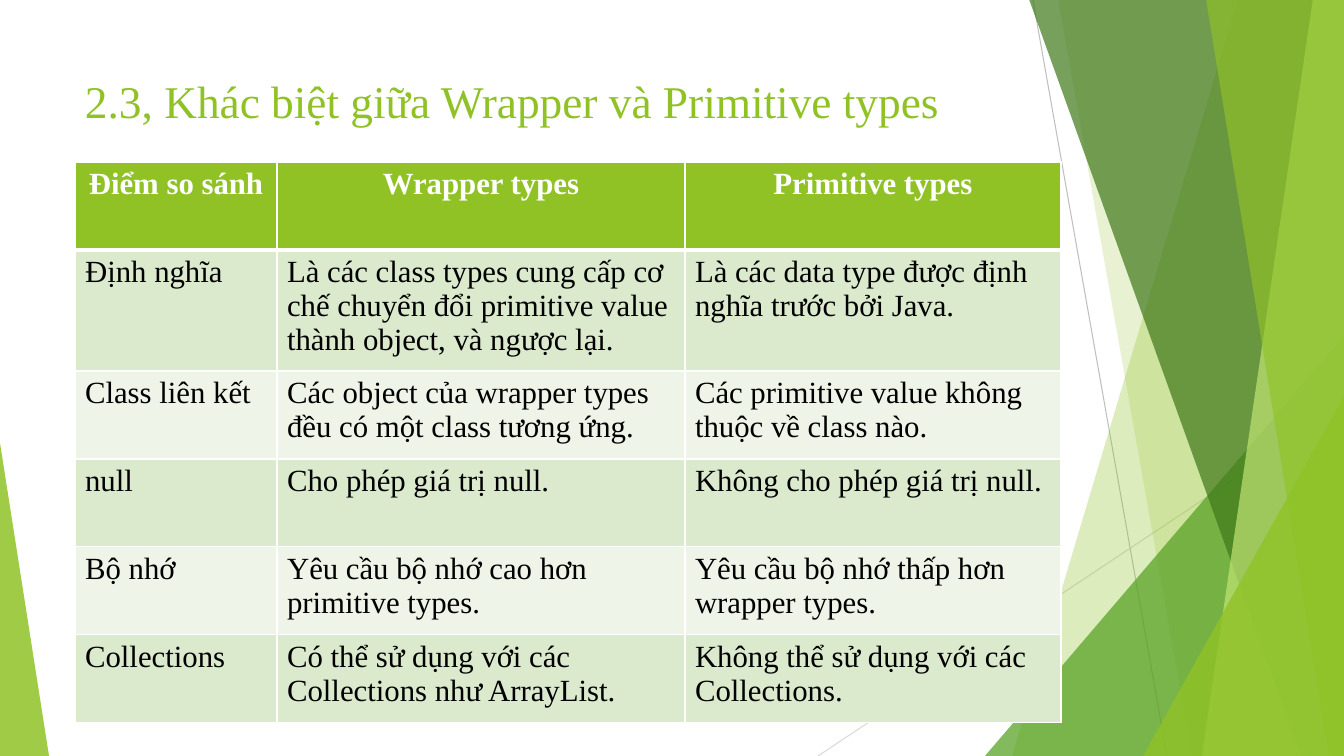
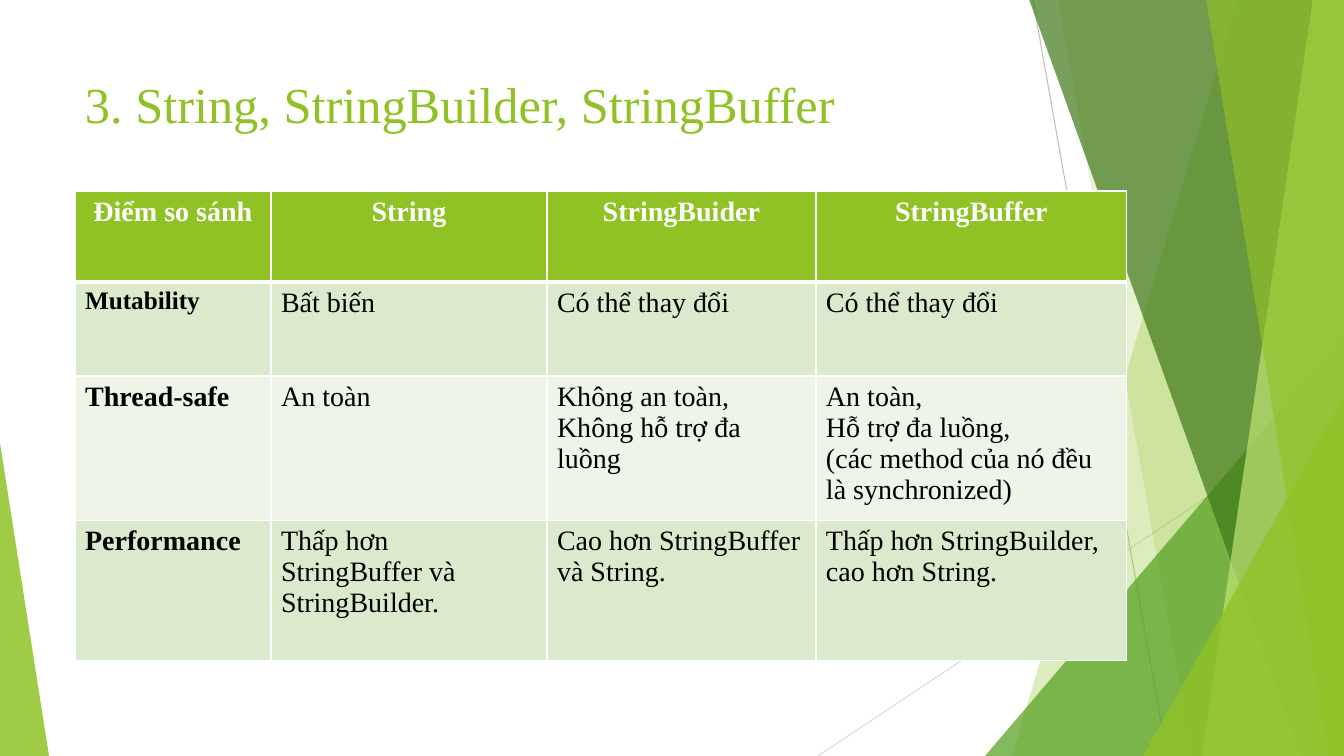
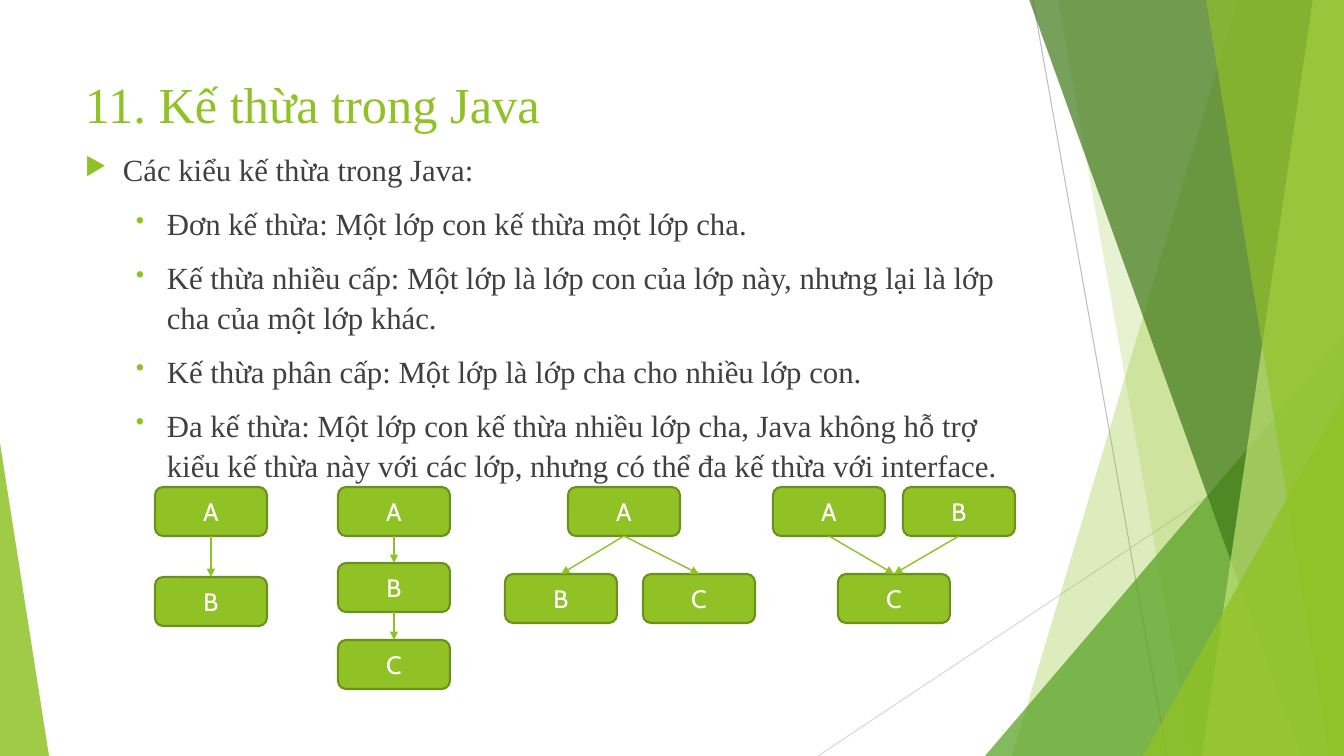
from pptx import Presentation
from pptx.dml.color import RGBColor
from pptx.enum.shapes import MSO_CONNECTOR, MSO_SHAPE
from pptx.enum.text import MSO_ANCHOR, PP_ALIGN
from pptx.oxml.ns import qn
from pptx.util import Pt
from lxml.etree import SubElement, Element

PX = 914400 / 100.8
WIDTH, HEIGHT = 1344, 756
SERIF, SANS = "Times New Roman", "Cabin"

LIME = RGBColor(0x90, 0xC2, 0x26)
GREEN = RGBColor(0x54, 0xA0, 0x21)
FOREST = RGBColor(0x3F, 0x78, 0x19)
PALE_LIME = RGBColor(0xC0, 0xE4, 0x74)
OLIVE = RGBColor(0x6B, 0x90, 0x1C)
BAND_DARK = RGBColor(0xDB, 0xE9, 0xCD)
BAND_LIGHT = RGBColor(0xEE, 0xF4, 0xE8)
GRAY = RGBColor(0xBF, 0xBF, 0xBF)
LIGHT_GRAY = RGBColor(0xD9, 0xD9, 0xD9)
DARK_GRAY = RGBColor(0x40, 0x40, 0x40)
WHITE = RGBColor(0xFF, 0xFF, 0xFF)
BLACK = RGBColor(0, 0, 0)

HAIRLINES = [((1033, 0), (1167, 756), GRAY), ((1344, 406), (818, 756), LIGHT_GRAY)]
FACETS = [
    ("band", (1238, 1012), LIME, 30),
    ("band", (1058, 1192), LIME, 20),
    ("triangle", (985, 336, 359, 420, 1), GREEN, 72),
    ("band", (1029, 1301), FOREST, 70),
    ("band", (1313, 1202), PALE_LIME, 70),
    ("band", (1206, 1329), LIME, 65),
    ("triangle", (1143, 396, 201, 360, 1), LIME, 80),
    ("triangle", (0, 443, 49, 313, 0), LIME, 85),
]

COMPARISONS = [
    {
        "title": "2.3, Khác biệt giữa Wrapper và Primitive types",
        "title_size": 32.4, "title_height": 95,
        "top": 162, "columns": [202, 408, 376], "row_heights": [88] * 6,
        "size": 22, "label_sizes": {}, "bold_labels": False,
        "rows": [
            ["Điểm so sánh", "Wrapper types", "Primitive types"],
            ["Định nghĩa",
             "Là các class types cung cấp cơ chế chuyển đổi primitive value thành object, và ngược lại.",
             "Là các data type được định nghĩa trước bởi Java."],
            ["Class liên kết",
             "Các object của wrapper types đều có một class tương ứng.",
             "Các primitive value không thuộc về class nào."],
            ["null", "Cho phép giá trị null.", "Không cho phép giá trị null."],
            ["Bộ nhớ", "Yêu cầu bộ nhớ cao hơn primitive types.",
             "Yêu cầu bộ nhớ thấp hơn wrapper types."],
            ["Collections", "Có thể sử dụng với các Collections như ArrayList.",
             "Không thể sử dụng với các Collections."],
        ],
    },
    {
        "title": "3. String, StringBuilder, StringBuffer",
        "title_size": 36, "title_height": 112,
        "top": 191, "columns": [196, 276, 269, 311], "row_heights": [91, 94, 112, 140],
        "size": 20, "label_sizes": {"Mutability": 18}, "bold_labels": True,
        "rows": [
            ["Điểm so sánh", "String", "StringBuider", "StringBuffer"],
            ["Mutability", "Bất biến", "Có thể thay đổi", "Có thể thay đổi"],
            ["Thread-safe", "An toàn", "Không an toàn,\nKhông hỗ trợ đa luồng",
             "An toàn,\nHỗ trợ đa luồng,\n(các method của nó đều là synchronized)"],
            ["Performance", "Thấp hơn StringBuffer và StringBuilder.",
             "Cao hơn StringBuffer và String.", "Thấp hơn StringBuilder, cao hơn String."],
        ],
    },
]

INHERITANCE_TITLE = "11. Kế thừa trong Java"
INHERITANCE_KINDS = [
    (0, "Các kiểu kế thừa trong Java:"),
    (1, "Đơn kế thừa: Một lớp con kế thừa một lớp cha."),
    (1, "Kế thừa nhiều cấp: Một lớp là lớp con của lớp này, nhưng lại là lớp cha của một lớp khác."),
    (1, "Kế thừa phân cấp: Một lớp là lớp cha cho nhiều lớp con."),
    (1, "Đa kế thừa: Một lớp con kế thừa nhiều lớp cha, Java không hỗ trợ kiểu kế thừa này "
        "với các lớp, nhưng có thể đa kế thừa với interface."),
]
BULLETS = [("▶", 38, -38), ("•", 82, -31)]
CLASS_SIZE = (112, 49)
HIERARCHIES = [
    ({"A": (155, 487), "B": (155, 577)}, ["AB"]),
    ({"A": (338, 487), "B": (338, 563), "C": (338, 640)}, ["AB", "BC"]),
    ({"A": (568, 487), "B": (505, 574), "C": (643, 574)}, ["AB", "AC"]),
    ({"A": (773, 487), "B": (903, 487), "C": (838, 574)}, ["AC", "BC"]),
]


def px(*lengths):
    return [round(length * PX) for length in lengths]


def add_run(paragraph, text, size, color, font=SERIF, bold=False):
    run = paragraph.add_run()
    run.text = text
    run.font.size = Pt(size)
    run.font.name = font
    run.font.bold = bold
    run.font.color.rgb = color


def add_line(slide, start, end, color, width):
    line = slide.shapes.add_connector(MSO_CONNECTOR.STRAIGHT, *px(*start, *end))
    line.line.color.rgb = color
    line.line.width = Pt(width)
    SubElement(line._element.spPr, qn("a:effectLst"))
    return line


def add_facet(slide, kind, geometry, color, opacity):
    if kind == "band":
        top_left, bottom_left = geometry
        outline = slide.shapes.build_freeform(*px(top_left, -1))
        corners = [(WIDTH, -1), (WIDTH, HEIGHT), (bottom_left, HEIGHT)]
        outline.add_line_segments([px(*corner) for corner in corners], close=True)
        facet = outline.convert_to_shape()
    else:
        *frame, apex = geometry
        facet = slide.shapes.add_shape(MSO_SHAPE.ISOSCELES_TRIANGLE, *px(*frame))
        facet.adjustments[0] = apex
    facet.shadow.inherit = False
    facet.line.fill.background()
    facet.fill.solid()
    facet.fill.fore_color.rgb = color
    tint = facet._element.spPr.find(".//" + qn("a:srgbClr"))
    SubElement(tint, qn("a:alpha"), val=str(opacity * 1000))


def add_text_frame(slide, *frame):
    text_frame = slide.shapes.add_textbox(*px(*frame)).text_frame
    text_frame.word_wrap = True
    return text_frame


def start_slide(deck, title, size, height):
    slide = deck.slides.add_slide(deck.slide_layouts[6])
    for start, end, color in HAIRLINES:
        add_line(slide, start, end, color, 0.75)
    for facet in FACETS:
        add_facet(slide, *facet)
    heading = add_text_frame(slide, 75, 68, 948, height)
    add_run(heading.paragraphs[0], title, size, LIME)
    return slide


def set_borders(cell, widths):
    properties = cell._tc.get_or_add_tcPr()
    for index, (side, width) in enumerate(widths.items()):
        border = Element(qn("a:ln" + side), w=str(Pt(width)))
        SubElement(SubElement(border, qn("a:solidFill")), qn("a:srgbClr"), val=str(WHITE))
        properties.insert(index, border)


def fill_cell(cell, text, row, size, bold):
    header = row == 0
    cell.fill.solid()
    cell.fill.fore_color.rgb = LIME if header else (BAND_LIGHT, BAND_DARK)[row % 2]
    set_borders(cell, {"L": 1, "R": 1, "T": 3 if row == 1 else 1, "B": 3 if header else 1})
    for index, sentence in enumerate(text.split("\n")):
        frame = cell.text_frame
        paragraph = frame.add_paragraph() if index else frame.paragraphs[0]
        paragraph.alignment = PP_ALIGN.CENTER if header else PP_ALIGN.LEFT
        add_run(paragraph, sentence, size, WHITE if header else BLACK, bold=bold)


def add_comparison(deck, content):
    slide = start_slide(deck, content["title"], content["title_size"], content["title_height"])
    rows, columns, heights = content["rows"], content["columns"], content["row_heights"]
    frame = px(75, content["top"], sum(columns), sum(heights))
    table = slide.shapes.add_table(len(rows), len(columns), *frame).table
    for column, width in zip(table.columns, px(*columns)):
        column.width = width
    for row, height in zip(table.rows, px(*heights)):
        row.height = height
    for r, row in enumerate(rows):
        for c, text in enumerate(row):
            size = content["label_sizes"].get(text, content["size"])
            bold = r == 0 or (c == 0 and content["bold_labels"])
            fill_cell(table.cell(r, c), text, r, size, bold)


def add_bullet(paragraph, level):
    symbol, margin, indent = BULLETS[level]
    paragraph.level = level
    paragraph.space_before = Pt(10)
    paragraph.line_spacing = 1.08
    properties = paragraph._p.get_or_add_pPr()
    properties.set("marL", str(px(margin)[0]))
    properties.set("indent", str(px(indent)[0]))
    SubElement(SubElement(properties, qn("a:buClr")), qn("a:srgbClr"), val=str(LIME))
    SubElement(properties, qn("a:buSzPct"), val="80000")
    SubElement(properties, qn("a:buChar"), char=symbol)


def add_class(slide, name, corner):
    box = slide.shapes.add_shape(MSO_SHAPE.ROUNDED_RECTANGLE, *px(*corner, *CLASS_SIZE))
    box.shadow.inherit = False
    box.fill.solid()
    box.fill.fore_color.rgb = LIME
    box.line.color.rgb = OLIVE
    box.line.width = Pt(1.5)
    box.text_frame.vertical_anchor = MSO_ANCHOR.MIDDLE
    label = box.text_frame.paragraphs[0]
    label.alignment = PP_ALIGN.CENTER
    add_run(label, name, 18, WHITE, SANS)
    return box


def add_inheritance(deck):
    slide = start_slide(deck, INHERITANCE_TITLE, 36, 76)
    body = add_text_frame(slide, 75, 143, 948, 545)
    for index, (level, text) in enumerate(INHERITANCE_KINDS):
        paragraph = body.add_paragraph() if index else body.paragraphs[0]
        add_bullet(paragraph, level)
        add_run(paragraph, text, 22, DARK_GRAY)
    for classes, links in HIERARCHIES:
        boxes = {name: add_class(slide, name, corner) for name, corner in classes.items()}
        for parent, child in links:
            arrow = add_line(slide, (0, 0), (0, 0), LIME, 1)
            arrow.begin_connect(boxes[parent], 2)
            arrow.end_connect(boxes[child], 0)
            SubElement(arrow.line._get_or_add_ln(), qn("a:tailEnd"), type="triangle")


def main():
    deck = Presentation()
    deck.slide_width, deck.slide_height = px(WIDTH, HEIGHT)
    for content in COMPARISONS:
        add_comparison(deck, content)
    add_inheritance(deck)
    deck.save("out.pptx")


if __name__ == "__main__":
    main()
